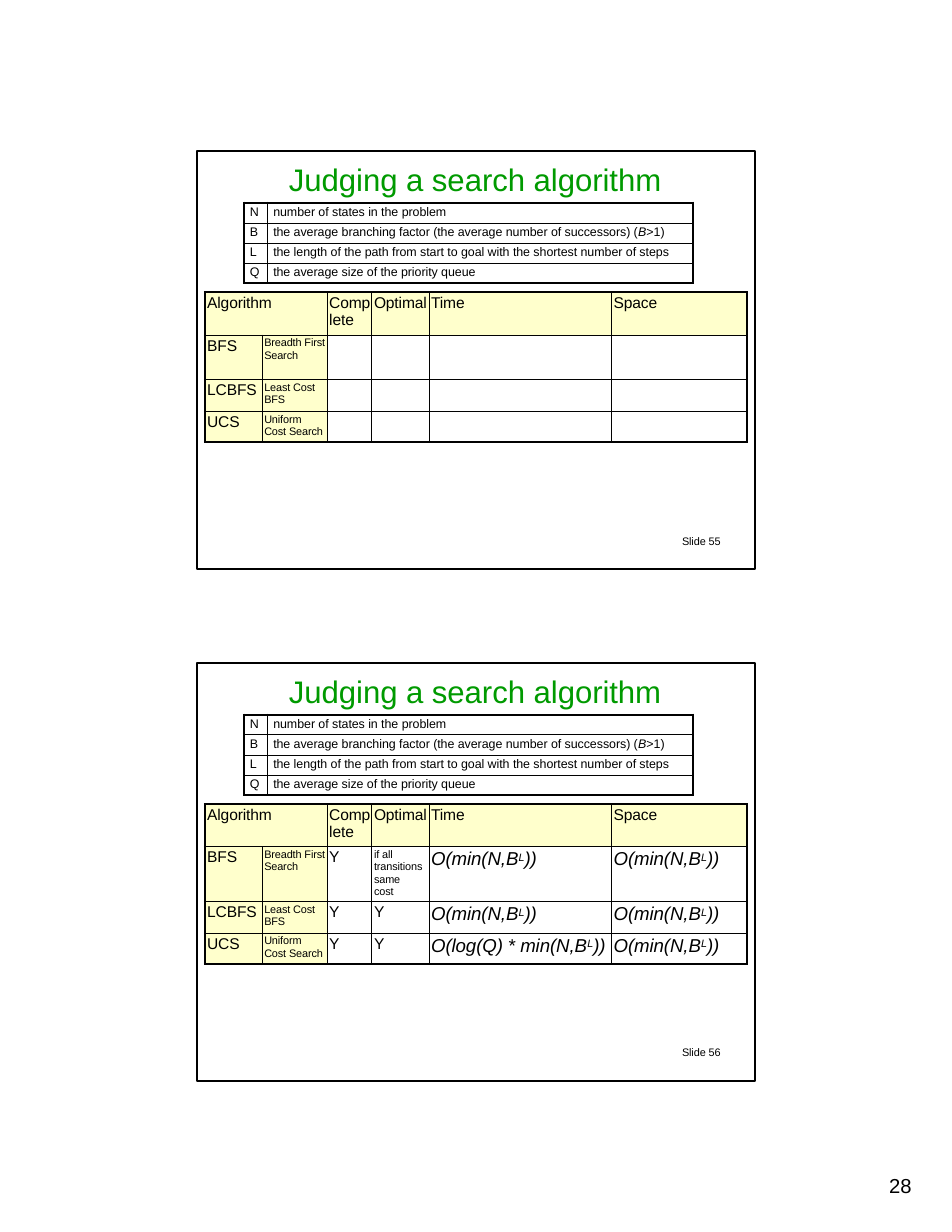
from pptx import Presentation
from pptx.dml.color import RGBColor
from pptx.enum import shapes, text
from pptx.oxml.ns import qn
from pptx.util import Inches, Pt
from lxml import etree

BLACK = RGBColor(0x00, 0x00, 0x00)
BORDER = RGBColor(0x01, 0x01, 0x01)
GREEN = RGBColor(0x00, 0x9A, 0x00)
CREAM = RGBColor(0xFF, 0xFF, 0xCC)
FONT = "Arial"
THIN, THICK = Pt(0.5), Pt(1.5)
HANDOUT_STEP = 4.57

PLAIN, ITALIC, SUPER = "plain", "italic", "super"
LEGEND = [
    ("N", "number of states in the problem"),
    ("B", [("the average branching factor (the average number of successors) (", PLAIN),
           ("B", ITALIC), (">1)", PLAIN)]),
    ("L", "the length of the path from start to goal with the shortest number of steps"),
    ("Q", "the average size of the priority queue"),
]
HEADER = ["Algorithm", "", "Comp\nlete", "Optimal", "Time", "Space"]
ALGORITHMS = [("BFS", "Breadth First\nSearch"),
              ("LCBFS", "Least Cost\nBFS"),
              ("UCS", "Uniform\nCost Search")]


def bound(head):
    """Spans of a complexity bound that ends in B to the power L."""
    return [(head, ITALIC), ("L", SUPER), ("))", ITALIC)]


NO_ANSWERS = [[""] * 4] * 3
ANSWERS = [
    ["Y", "if all\ntransitions\nsame\ncost", bound("O(min(N,B"), bound("O(min(N,B")],
    ["Y", "Y", bound("O(min(N,B"), bound("O(min(N,B")],
    ["Y", "Y", bound("O(log(Q) * min(N,B"), bound("O(min(N,B")],
]


def write(para, content, size, color=BLACK):
    """Fill a paragraph from a string or a list of (words, style) spans."""
    spans = [(content, PLAIN)] if isinstance(content, str) else content
    for words, style in spans:
        for index, line in enumerate(words.split("\n")):
            if index:
                para.add_line_break()
            span = para.add_run()
            span.text = line
            span.font.name = FONT
            span.font.size = Pt(size)
            span.font.bold = False
            span.font.italic = style != PLAIN
            span.font.color.rgb = color
            properties = span.font._element
            properties.set("spc", "-5")
            if style == SUPER:
                properties.set("baseline", "24000")


def fill_text(shape, place, content, size, color=BLACK, left=0.01, top=0.01):
    shape.left, shape.top, shape.width, shape.height = map(Inches, place)
    frame = shape.text_frame
    frame.word_wrap = False
    frame.auto_size = text.MSO_AUTO_SIZE.NONE
    frame.vertical_anchor = text.MSO_ANCHOR.TOP
    frame.margin_left, frame.margin_top = Inches(left), Inches(top)
    frame.margin_right = frame.margin_bottom = 0
    para = frame.paragraphs[0]
    para.alignment = text.PP_ALIGN.LEFT
    write(para, content, size, color)


def add_label(page, place, content, size, **style):
    fill_text(page.shapes.add_textbox(0, 0, 0, 0), place, content, size, **style)


def set_borders(cell, widths):
    """Set left, right, top and bottom lines; call before setting the fill."""
    properties = cell._tc.get_or_add_tcPr()
    for side, width in zip("LRTB", widths):
        line = etree.SubElement(properties, qn(f"a:ln{side}"), w=str(width))
        solid = etree.SubElement(line, qn("a:solidFill"))
        etree.SubElement(solid, qn("a:srgbClr"), val=str(BORDER))


def add_grid(page, left, top, columns, heights, rows, size_of, indent, is_shaded):
    """Add a table with thin inner lines and a thick outline."""
    table = page.shapes.add_table(
        len(heights), len(columns), Inches(left), Inches(top),
        Inches(sum(columns)), Inches(sum(heights))).table
    table.first_row = table.horz_banding = False
    for column, width in zip(table.columns, columns):
        column.width = Inches(width)
    for row, height in zip(table.rows, heights):
        row.height = Inches(height)
    last_row, last_column = len(heights) - 1, len(columns) - 1
    for r, row in enumerate(rows):
        for c, content in enumerate(row):
            cell = table.cell(r, c)
            cell.margin_left, cell.margin_top = Inches(indent), Inches(0.02)
            cell.margin_right = cell.margin_bottom = 0
            outer = (c == 0, c == last_column, r == 0, r == last_row)
            set_borders(cell, [THICK if edge else THIN for edge in outer])
            if is_shaded(r, c):
                cell.fill.solid()
                cell.fill.fore_color.rgb = CREAM
            else:
                cell.fill.background()
            para = cell.text_frame.paragraphs[0]
            if content:
                write(para, content, size_of(r, c, content))
            else:
                etree.SubElement(para._p, qn("a:endParaRPr"), sz="700")
    return table


def add_legend(page, top):
    add_grid(page, 2.18, top, [0.21, 3.8], [0.18] * 4, LEGEND,
             lambda r, c, content: 8, 0.05, lambda r, c: False)


def algorithm_text_size(r, c, content):
    if not isinstance(content, str):
        return 12
    small = r > 0 and (c == 1 or "\n" in content)
    return 7 if small else 10


def add_comparison(page, top, answers, first_height):
    rows = [HEADER] + [[*names, *cells] for names, cells in zip(ALGORITHMS, answers)]
    table = add_grid(page, 1.83, top, [0.51, 0.58, 0.4, 0.51, 1.63, 1.21],
                     [0.38, first_height, 0.28, 0.28], rows,
                     algorithm_text_size, 0.02, lambda r, c: r == 0 or c < 2)
    table.cell(0, 0).merge(table.cell(0, 1))


def add_frame(page, top):
    frame = page.shapes.add_shape(shapes.MSO_SHAPE.RECTANGLE, Inches(1.76),
                                  Inches(top), Inches(4.98), Inches(3.73))
    frame.shadow.inherit = False
    frame.fill.background()
    frame.line.color.rgb = BLACK
    frame.line.width = Pt(1.02)


def add_handout(page, title, top, number, answers, first_height):
    """Add one framed lecture slide, placed from the top of its frame."""
    fill_text(title, (2.57, top + 0.07, 3.36, 0.36),
              "Judging a search algorithm", 20, GREEN)
    add_label(page, (6.08, top + 3.41, 0.38, 0.15), f"Slide {number}", 7)
    add_legend(page, top + 0.46)
    add_comparison(page, top + 1.26, answers, first_height)
    add_frame(page, top)


def main():
    deck = Presentation()
    deck.slide_width, deck.slide_height = Inches(8.5), Inches(11)
    page = deck.slides.add_slide(deck.slide_layouts[5])
    add_handout(page, page.shapes.title, 1.35, 55, NO_ANSWERS, 0.4)
    second_title = page.shapes.add_textbox(0, 0, 0, 0)
    add_handout(page, second_title, 1.35 + HANDOUT_STEP, 56, ANSWERS, 0.49)
    add_label(page, (7.91, 10.48, 0.26, 0.23), "28", 13, left=0.03, top=0)
    deck.save("out.pptx")


if __name__ == "__main__":
    main()
